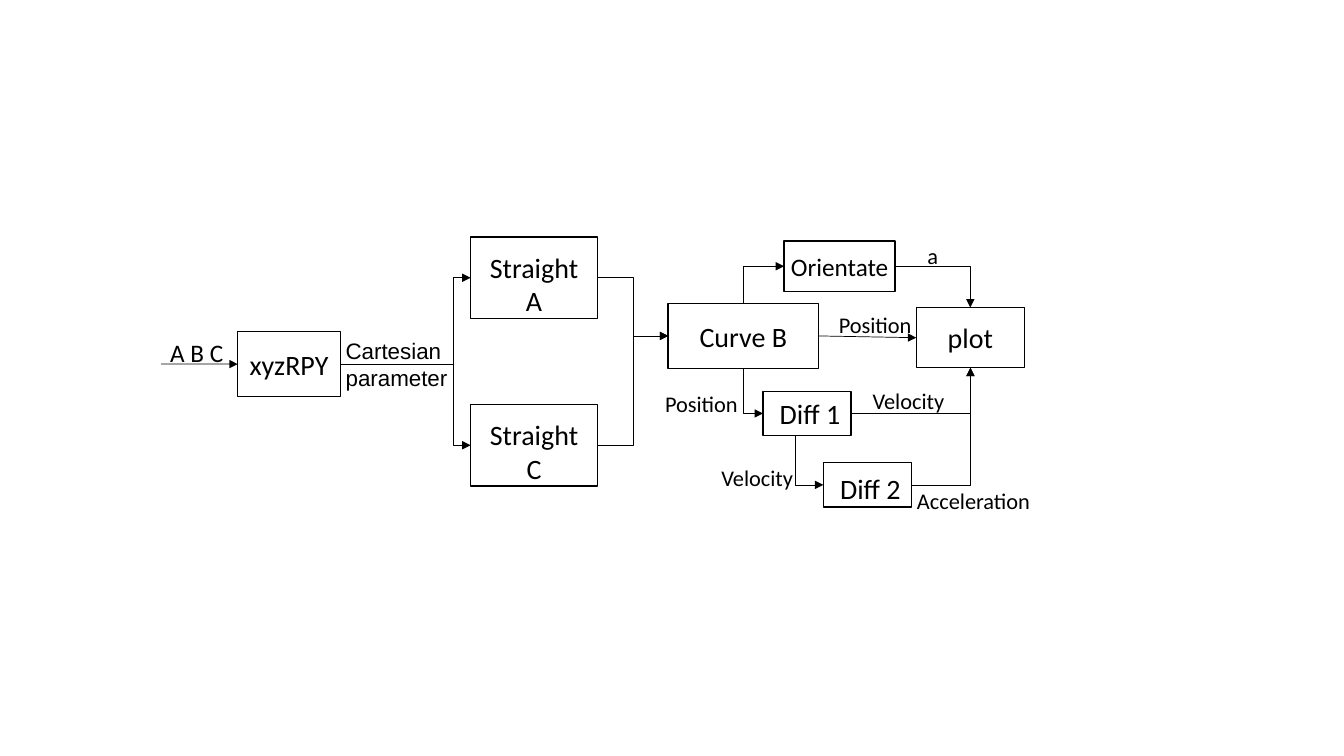
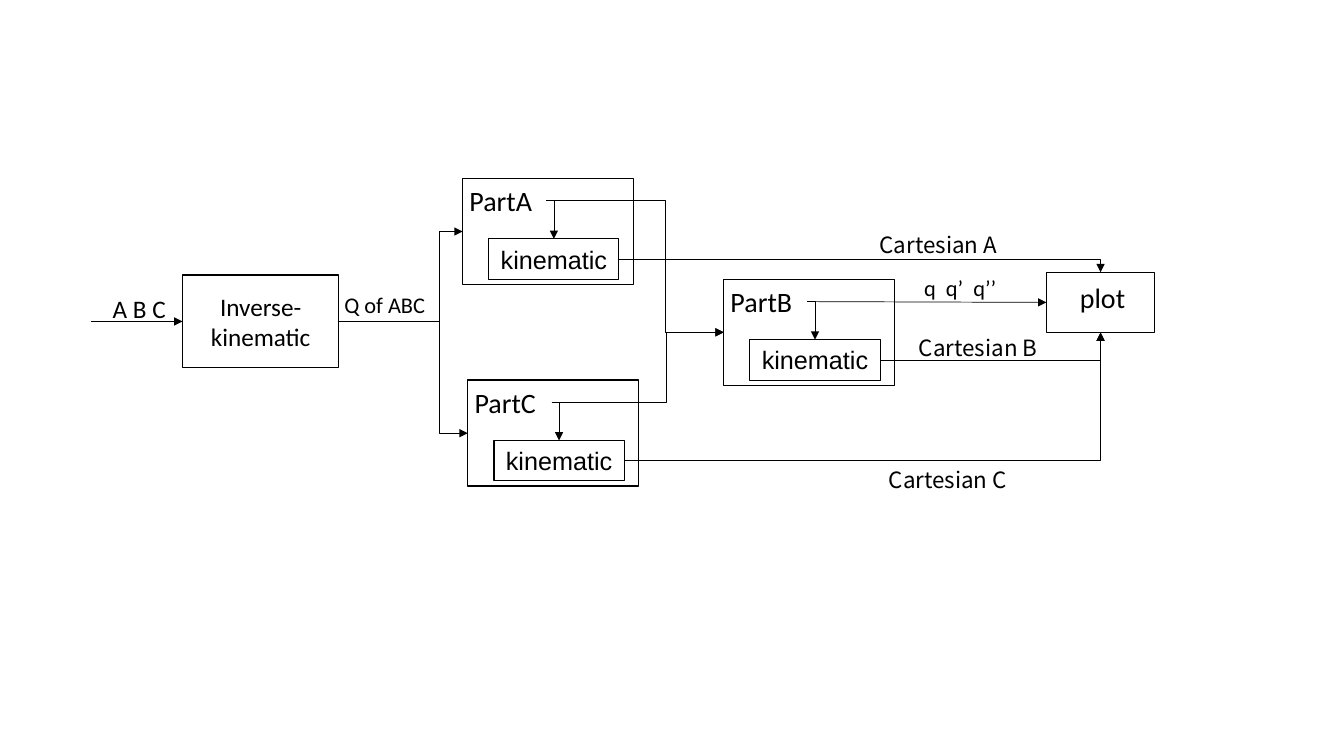
from pptx import Presentation
from pptx.dml.color import RGBColor
from pptx.enum.shapes import MSO_CONNECTOR, MSO_SHAPE
from pptx.enum.text import MSO_ANCHOR, PP_ALIGN
from pptx.oxml.ns import qn
from pptx.util import Cm, Pt
from lxml import etree

RECT = MSO_SHAPE.RECTANGLE
STRAIGHT, ELBOW = MSO_CONNECTOR.STRAIGHT, MSO_CONNECTOR.ELBOW
MIDDLE = MSO_ANCHOR.MIDDLE
LEFT, CENTER = PP_ALIGN.LEFT, PP_ALIGN.CENTER
TOP, WEST, LOW, EAST = range(4)
INK = RGBColor.from_string("000000")
SANS, ARIAL, NOTO = "Calibri", "Arial", "Noto Sans CJK SC"


def put(slide, text, x, y, w, h, size=20, font=SANS, edge=0, pad=(0, 0, 0)):
    area = Cm(x), Cm(y), Cm(w), Cm(h)
    if edge:
        shape = slide.shapes.add_shape(RECT, *area)
        shape.shadow.inherit = False
        shape.fill.background()
        shape.line.color.rgb = INK
        shape.line.width = Pt(edge)
    else:
        shape = slide.shapes.add_textbox(*area)
    frame = shape.text_frame
    frame.word_wrap = True
    frame.vertical_anchor = MIDDLE
    frame.margin_left, frame.margin_top, frame.margin_right = map(Cm, pad)
    frame.margin_bottom = 0
    for i, part in enumerate(text.split("\n")):
        para = frame.add_paragraph() if i else frame.paragraphs[0]
        para.alignment = CENTER if edge else LEFT
        run = para.add_run()
        run.text = part
        run.font.name = font
        run.font.size = Pt(size)
        run.font.color.rgb = INK
    return shape


def wire(slide, start, end, bend=0, turn=None, tip="tailEnd", free=(0, 0)):
    spot = [Cm(v) for v in free]
    line = slide.shapes.add_connector(ELBOW if bend else STRAIGHT, *spot, *spot)
    if start:
        line.begin_connect(*start)
    if end:
        line.end_connect(*end)
    line.line.color.rgb = INK
    line.line.width = Pt(0.5)
    props = line._element.spPr
    etree.SubElement(props.find(qn("a:ln")), qn(f"a:{tip}"), type="triangle")
    etree.SubElement(props, qn("a:effectLst"))
    if bend:
        geom = props.find(qn("a:prstGeom"))
        geom.set("prst", f"bentConnector{bend}")
        if turn:
            etree.SubElement(geom.find(qn("a:avLst")), qn("a:gd"),
                             name="adj1", fmla=f"val {turn * 1000:.0f}")


deck = Presentation()
deck.slide_width, deck.slide_height = Cm(33.87), Cm(19.05)
blank = deck.slide_layouts[6]

flow = deck.slides.add_slide(blank)
xyz = put(flow, "xyzRPY", 5.99, 8.36, 2.59, 1.63, edge=1)
curve = put(flow, "Curve B", 16.84, 7.65, 3.79, 1.63, edge=1)
plot = put(flow, "plot", 23.09, 7.75, 2.73, 1.52, edge=1)
first = put(flow, "Diff 1", 19.23, 9.86, 2.22, 1.12, edge=1, pad=(0.15, 0, 0))
next_diff = put(flow, "Diff 2", 20.75, 11.66, 2.22, 1.12, edge=1, pad=(0.15, 0.15, 0))
orient = put(flow, "Orientate", 19.76, 6.07, 2.8, 1.28, size=18, edge=1)

wire(flow, None, (xyz, WEST), free=(4.06, 9.17))
for name, y, turn in (("Straight A", 5.97, 86.5), ("Straight C", 10.19, 86.5)):
    track = put(flow, name, 11.86, y, 3.2, 2.06, edge=1, pad=(0.38, 0.3, 0.38))
    wire(flow, (xyz, EAST), (track, WEST), 3, turn)
    wire(flow, (track, EAST), (curve, WEST), 3, 50)

wire(flow, (curve, EAST), (plot, WEST))
wire(flow, (orient, WEST), (curve, TOP), 2, tip="headEnd")
wire(flow, (first, WEST), (curve, LOW), 2, tip="headEnd")
wire(flow, (next_diff, WEST), None, 2, tip="headEnd", free=(20.04, 10.98))
wire(flow, (orient, EAST), (plot, TOP), 2)
for diff in (first, next_diff):
    wire(flow, (diff, EAST), (plot, LOW), 2)

parts = deck.slides.add_slide(blank)
inverse = put(parts, "Inverse-\nkinematic", 4.6, 6.93, 3.94, 2.34, size=18, edge=1)
graph = put(parts, "plot", 26.37, 6.86, 2.73, 1.52, edge=1, pad=(0.1, 0, 0))
graph.text_frame.margin_bottom = Cm(0.25)
wire(parts, None, (inverse, WEST), free=(2.29, 8.1))

tags, frames = {}, {}
for i, (name, x, side) in enumerate((("A", 11.66, TOP), ("B", 18.24, LOW), ("C", 11.79, LOW))):
    y = 4.5 + 2.54 * i
    frames[name] = put(parts, "", x, y, 4.3, 2.67, edge=1)
    tags[name] = put(parts, f"Part{name}", x - 0.18, y, 2.29, 1.12, pad=(0.35, 0, 0))
    core = put(parts, "kinematic", x + 0.66, y + 1.52, 3.28, 1.02,
               size=18, font=ARIAL, edge=0.75)
    wire(parts, (tags[name], EAST), (core, TOP), 2)
    wire(parts, (core, EAST), (graph, side), 2)

for name, fork, merge in (("A", 81, 67.2), ("C", 78.3, 66.6)):
    wire(parts, (inverse, EAST), (frames[name], WEST), 3, fork)
    wire(parts, (tags[name], EAST), (frames["B"], WEST), 3, merge)
wire(parts, (tags["B"], EAST), (graph, WEST))

for slide, text, x, y, w, h, size, font in (
    (flow, "A B C", 4.04, 8.38, 2.49, 1.02, 18, SANS),
    (flow, "Cartesian parameter", 8.46, 8.36, 4.14, 1.63, 16, ARIAL),
    (flow, "Position", 20.89, 7.72, 2.72, 0.94, 16, SANS),
    (flow, "Position", 16.51, 9.7, 2.72, 0.94, 16, SANS),
    (flow, "Velocity", 17.93, 11.56, 2.72, 0.94, 16, SANS),
    (flow, "Velocity", 21.74, 9.63, 2.72, 0.94, 16, SANS),
    (flow, "Acceleration", 22.86, 12.14, 3.4, 0.94, 16, SANS),
    (flow, "a", 23.12, 5.97, 0.8, 0.94, 16, SANS),
    (parts, "A B C", 2.59, 7.26, 2.49, 1.02, 18, SANS),
    (parts, "Q of ABC", 8.43, 7.21, 2.72, 0.94, 16, SANS),
    (parts, "Cartesian A", 21.92, 5.69, 4.85, 0.94, 16, NOTO),
    (parts, "q  q’  q’’", 23.04, 6.78, 4.85, 0.94, 16, SANS),
    (parts, "Cartesian B", 22.91, 8.28, 4.85, 0.94, 16, NOTO),
    (parts, "Cartesian C", 22.15, 11.61, 4.85, 0.94, 16, NOTO),
):
    put(slide, text, x, y, w, h, size, font, pad=(0.25, 0, 0))

deck.save("out.pptx")
